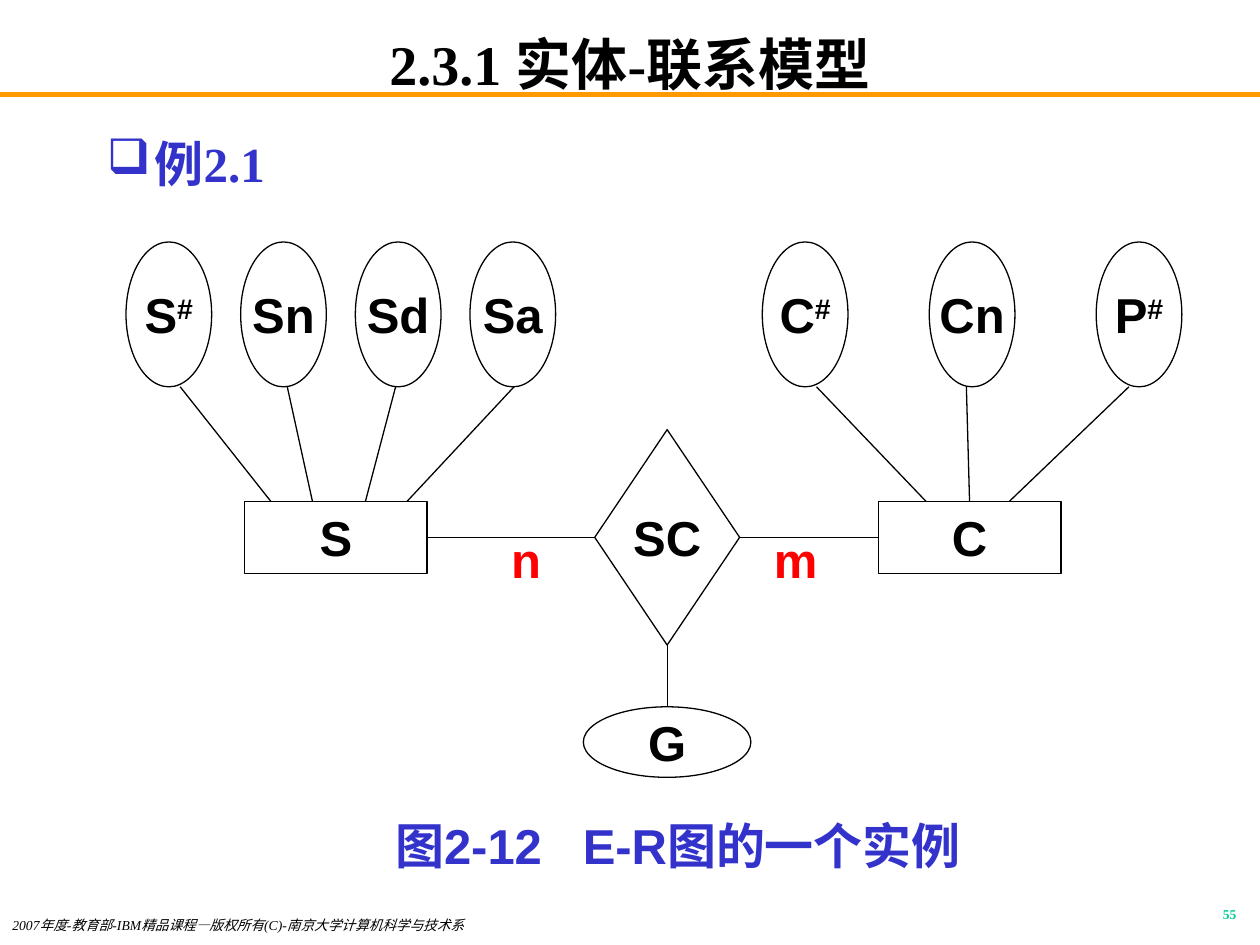
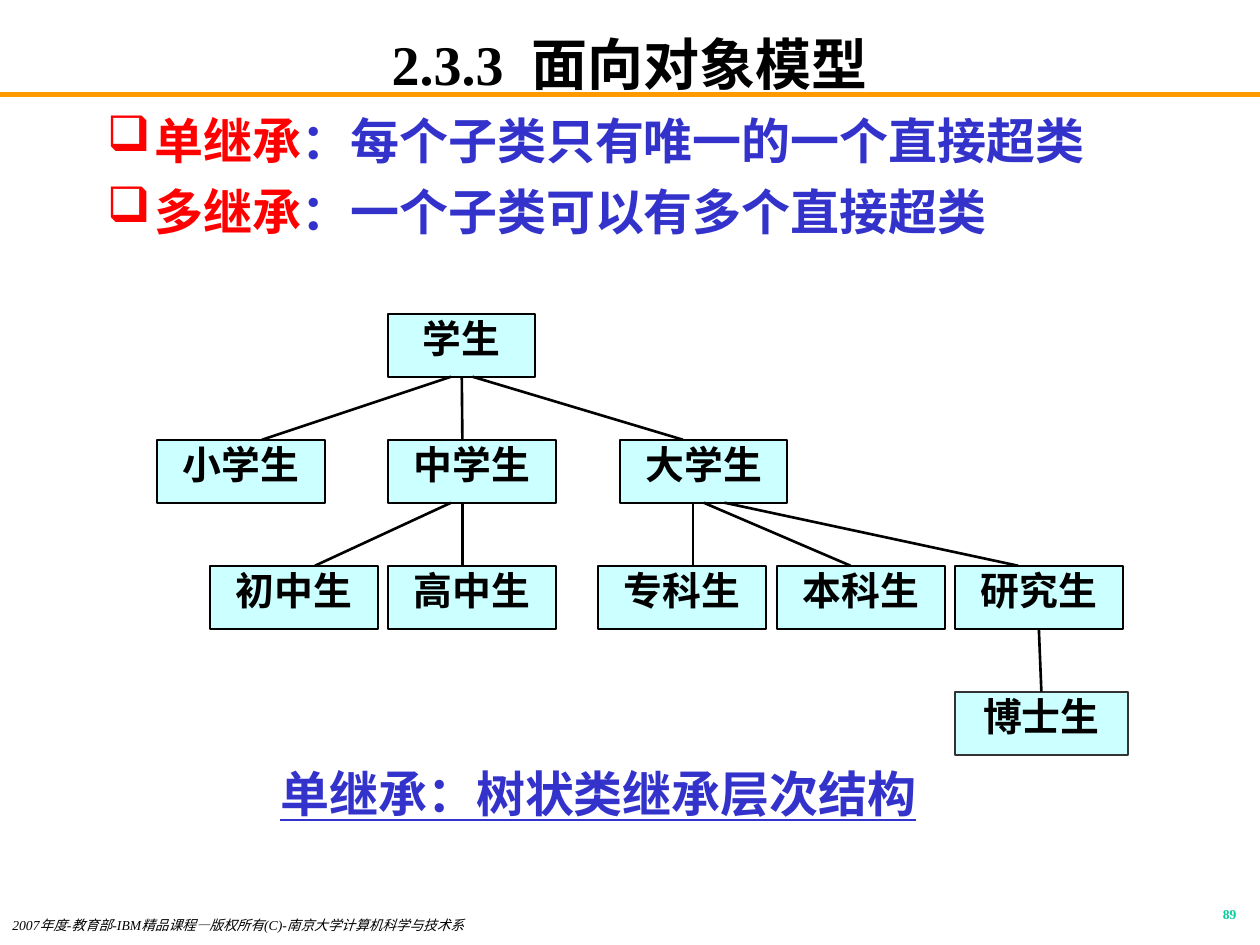
from dataclasses import dataclass

from lxml.etree import SubElement as Sub
from pptx import Presentation
from pptx.dml.color import RGBColor
from pptx.enum.shapes import MSO_CONNECTOR as Wire, MSO_SHAPE as Kind
from pptx.enum.text import MSO_ANCHOR as Anchor, PP_ALIGN as Align
from pptx.oxml.ns import qn
from pptx.util import Inches, Pt


@dataclass(frozen=True)
class Theme:
    """Colours, fonts and type sizes."""
    ink: str = "000000"
    blue: str = "3333CC"
    red: str = "FF0000"
    green: str = "00CC99"
    band: str = "FF9900"
    pale: str = "CCFFFF"
    grey: str = "333333"
    serif: str = "Times New Roman"
    sans: str = "Arial"
    han: str = "Noto Sans CJK SC"
    head: float = 32
    body: float = 28
    node: float = 22.2
    foot: float = 7.8
    page: float = 7.7


T = Theme()
PAD = (0.1, 0.05)


def rgb(code):
    """Turn a hex code into a colour."""
    return RGBColor.from_string(code)


def style(run, size, color, font, bold=True):
    """Format one run, with the Han font for East Asian letters."""
    face = run.font
    face.size, face.bold, face.name = Pt(size), bold, font
    face.color.rgb = rgb(color)
    Sub(run._r.get_or_add_rPr(), qn("a:ea")).set("typeface", T.han)


def fill(para, parts, size, color, font, bold=True):
    """Write the parts of a paragraph as runs of one style."""
    para.text = parts[0]
    for part in parts[1:]:
        para.add_run().text = part
    for run in para.runs:
        style(run, size, color, font, bold)


def say(shape, parts, size, color, font, align=Align.CENTER,
        anchor=Anchor.MIDDLE, pad=PAD, wrap=True, bold=True):
    """Write one paragraph into a shape and return it."""
    frame = shape.text_frame
    frame.word_wrap, frame.vertical_anchor = wrap, anchor
    frame.margin_left = frame.margin_right = Inches(pad[0])
    frame.margin_top = frame.margin_bottom = Inches(pad[1])
    para = frame.paragraphs[0]
    para.alignment = align
    fill(para, parts, size, color, font, bold)
    return para


def text(slide, box, parts, size, color, font, **more):
    """Add a text box with one paragraph and return the paragraph."""
    area = slide.shapes.add_textbox(*map(Inches, box))
    return say(area, parts, size, color, font, **more)


def widen(run, points):
    """Add space after each letter of a run."""
    run._r.get_or_add_rPr().set("spc", str(int(points * 100)))


def bullet(para, color):
    """Give a paragraph a square bullet and a hanging indent."""
    props = para._p.get_or_add_pPr()
    props.set("marL", str(Inches(0.38)))
    props.set("indent", str(-Inches(0.38)))
    Sub(Sub(props, qn("a:buClr")), qn("a:srgbClr")).set("val", color)
    Sub(props, qn("a:buChar")).set("char", "❑")


def line(slide, start, end, color=T.ink, width=0.75):
    """Draw a plain straight line."""
    wire = slide.shapes.add_connector(
        Wire.STRAIGHT, *map(Inches, (*start, *end)))
    wire.line.color.rgb, wire.line.width = rgb(color), Pt(width)
    Sub(wire._element.spPr, qn("a:effectLst"))
    return wire


def node(slide, kind, box, color=None, edge=T.ink, width=0.75):
    """Draw an outlined shape, filled if a colour is given."""
    shape = slide.shapes.add_shape(kind, *map(Inches, box))
    shape.shadow.inherit = False
    if color:
        shape.fill.solid()
        shape.fill.fore_color.rgb = rgb(color)
    else:
        shape.fill.background()
    shape.line.color.rgb, shape.line.width = rgb(edge), Pt(width)
    return shape


def centred(shape, x):
    """Tell whether x is the middle of a rectangle."""
    middle = shape.left + shape.width / 2
    return (shape.auto_shape_type == Kind.RECTANGLE
            and abs(middle - Inches(x)) < Inches(0.02))


def link(slide, upper, lower, x1, x2, width=0.75):
    """Run a line from the foot of one shape to the top of another."""
    foot = (upper.top + upper.height) / Inches(1)
    wire = line(slide, (x1, foot), (x2, lower.top / Inches(1)), width=width)
    if centred(upper, x1):
        wire.begin_connect(upper, 2)
    if centred(lower, x2):
        wire.end_connect(lower, 0)


def frame(deck, title, page):
    """Add a slide with title, band, footer and page number."""
    slide = deck.slides.add_slide(deck.slide_layouts[6])
    line(slide, (0, 0.75), (10, 0.75), T.band, 3)
    head = text(slide, (0.75, 0.25, 8.5, 0.5), title, T.head, T.ink, T.serif,
                pad=(0.1, 0))
    note = text(slide, (0, 7.25, 5.5, 0.25),
                ["2007年度-教育部-IBM精品课程—版权所有(C)-南京大学计算机科学与技术系"],
                T.foot, T.ink, T.serif, align=Align.LEFT, anchor=Anchor.TOP,
                bold=False)
    note.runs[0].font.italic = True
    mark = text(slide, (7.83, 7.17, 2.08, 0.25), [page], T.page, T.green,
                T.serif, align=Align.RIGHT, anchor=Anchor.TOP)
    note.line_spacing = mark.line_spacing = 0.8
    return slide, head


def entity(slide, box, name, traits, step, ends):
    """Draw an entity with its row of attributes; box holds both."""
    left, top, inset = box
    size = T.body, T.ink, T.sans
    core = node(slide, Kind.RECTANGLE, (left + inset, top + 2.06, 1.45, 0.57))
    say(core, [name], *size)
    for i, (trait, (x1, x2)) in enumerate(zip(traits, ends)):
        oval = node(slide, Kind.OVAL, (left + i * step, top, 0.68, 1.15))
        para = say(oval, list(trait) if "#" in trait else [trait], *size,
                   pad=(0, 0), wrap=False)
        for run in para.runs[1:]:
            run._r.get_or_add_rPr().set("baseline", "30000")
        link(slide, oval, core, left + x1, left + x2)
    return core


def model(slide, left, top):
    """Draw the entity-relationship diagram."""
    pupil = entity(slide, (left, top, 0.94), "S", ["S#", "Sn", "Sd", "Sa"],
                   0.91, [(0.43, 1.15), (1.28, 1.48), (2.14, 1.9), (3.08, 2.23)])
    course = entity(slide, (left + 5.05, top, 0.92), "C", ["C#", "Cn", "P#"],
                    1.325, [(0.43, 1.3), (1.62, 1.63), (2.91, 1.96)])
    bond = node(slide, Kind.FLOWCHART_DECISION,
                (left + 3.72, top + 1.49, 1.15, 1.71))
    grade = node(slide, Kind.OVAL, (left + 3.63, top + 3.69, 1.33, 0.56))
    for shape, name in ((bond, "SC"), (grade, "G")):
        say(shape, [name], T.body, T.ink, T.sans, pad=(0, 0), wrap=False)
    for first, side, last, goal in ((pupil, 3, bond, 1), (bond, 3, course, 1),
                                    (bond, 2, grade, 0)):
        wire = line(slide, (left, top), (left, top))
        wire.begin_connect(first, side)
        wire.end_connect(last, goal)
    for x, count in ((2.97, "n"), (5.11, "m")):
        text(slide, (left + x, top + 2.28, 0.41, 0.47), [count], T.body,
             T.red, T.sans, anchor=Anchor.TOP, pad=(0, 0))


def tree(slide, left, top):
    """Draw the class tree, one row of boxes per level."""
    rows = [[("学生", 1.83, 1.17)],
            [("小学生", 0, 1.33), ("中学生", 1.83, 1.33), ("大学生", 3.67, 1.33)],
            [("初中生", 0.42, 1.33), ("高中生", 1.83, 1.33), ("专科生", 3.5, 1.33),
             ("本科生", 4.92, 1.33), ("研究生", 6.33, 1.33)],
            [("博士生", 6.33, 1.37)]]
    links = [("学生", "小学生", 2.33, 0.83), ("学生", "中学生", 2.42, 2.42),
             ("学生", "大学生", 2.5, 4.17), ("中学生", "高中生", 2.42, 2.42),
             ("中学生", "初中生", 2.33, 1.25), ("大学生", "专科生", 4.25, 4.25),
             ("大学生", "本科生", 4.33, 5.5), ("大学生", "研究生", 4.5, 6.83),
             ("研究生", "博士生", 7, 7)]
    boxes = {}
    for level, row in enumerate(rows):
        for name, x, width in row:
            edge = T.grey if level == 3 else T.ink
            box = node(slide, Kind.RECTANGLE,
                       (left + x, top + level, width, 0.5), T.pale, edge, 1.13)
            para = say(box, [name], T.node, T.ink, T.han, anchor=Anchor.TOP)
            para.line_spacing = 0.9
            boxes[name] = box
    for upper, lower, x1, x2 in links:
        link(slide, boxes[upper], boxes[lower], left + x1, left + x2, 1.5)


def relation(deck):
    """Build the entity-relationship slide."""
    slide, _ = frame(deck, ["2.3.1 实体-联系模型"], "55")
    para = text(slide, (0.75, 0.92, 8.5, 0.8), ["例2.1"], T.body, T.blue,
                T.serif, align=Align.LEFT, anchor=Anchor.TOP)
    para.line_spacing = 1.2
    bullet(para, T.blue)
    model(slide, 1, 1.92)
    label = text(slide, (1.92, 6.42, 6.92, 0.57), ["图2-12", " ", "E-R图的一个实例"],
                 T.body, T.blue, T.sans, anchor=Anchor.TOP)
    widen(label.runs[1], 15.6)


def heritage(deck):
    """Build the inheritance slide."""
    slide, head = frame(deck, ["2.3.3", " ", "面向对象模型"], "89")
    widen(head.runs[1], 8)
    area = slide.shapes.add_textbox(*map(Inches, (0.75, 0.83, 8.5, 1.34)))
    rules = [["单继承", "：每个子类只有唯一的一个直接超类"],
             ["多继承", "：一个子类可以有多个直接超类"]]
    first = say(area, rules[0], T.body, T.blue, T.han, align=Align.LEFT,
                anchor=Anchor.TOP)
    second = area.text_frame.add_paragraph()
    second.space_before = Pt(7)
    fill(second, rules[1], T.body, T.blue, T.han)
    for para in (first, second):
        bullet(para, T.red)
        para.runs[0].font.color.rgb = rgb(T.red)
    tree(slide, 1.25, 2.49)
    label = text(slide, (1.75, 6.06, 6, 0.47), ["单继承：树状类继承层次结构"],
                 T.body, T.blue, T.han, anchor=Anchor.TOP, pad=(0, 0))
    label.runs[0].font.underline = True


def main():
    """Build and save the deck."""
    deck = Presentation()
    deck.slide_width, deck.slide_height = Inches(10), Inches(7.5)
    relation(deck)
    heritage(deck)
    deck.save("out.pptx")


if __name__ == "__main__":
    main()
